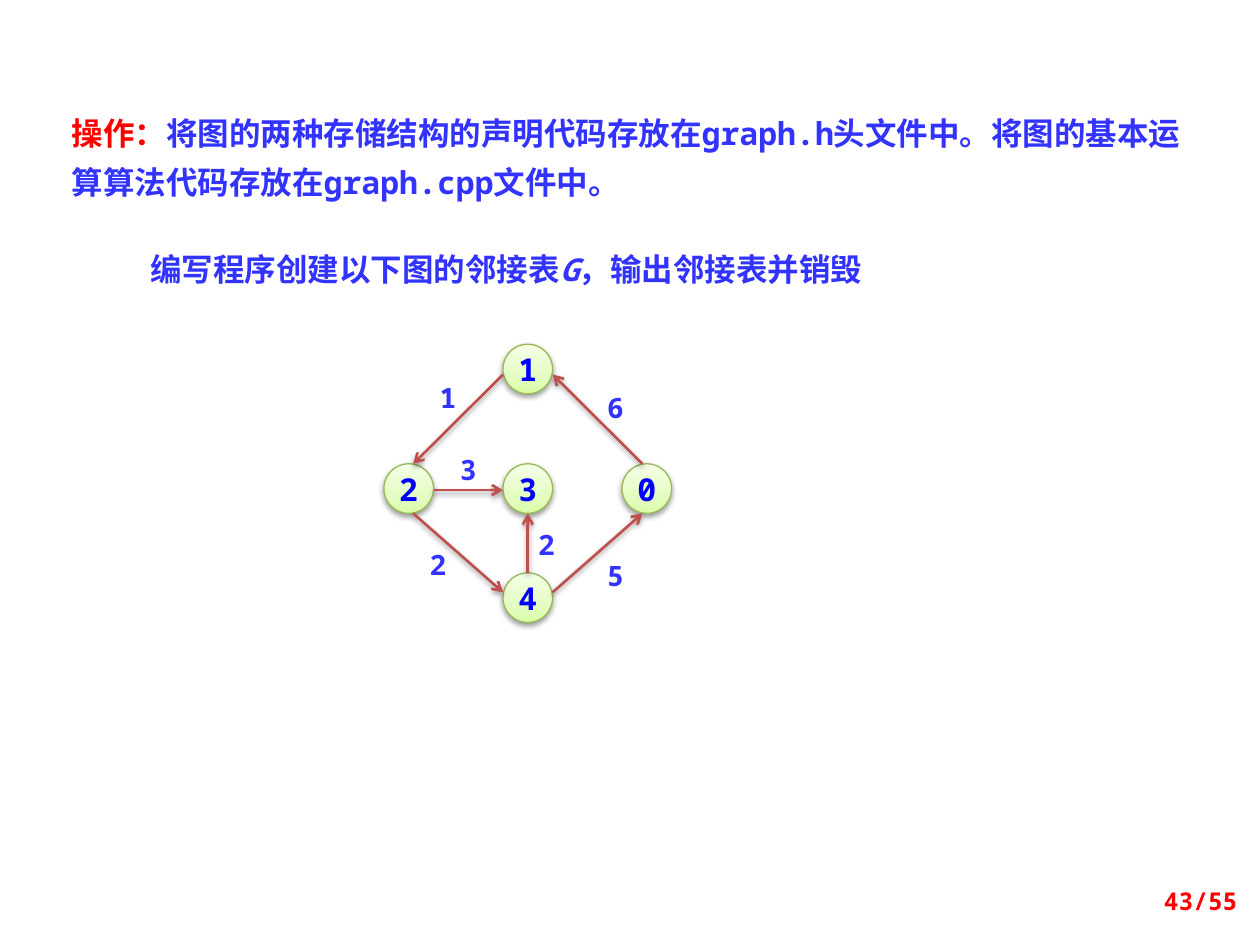
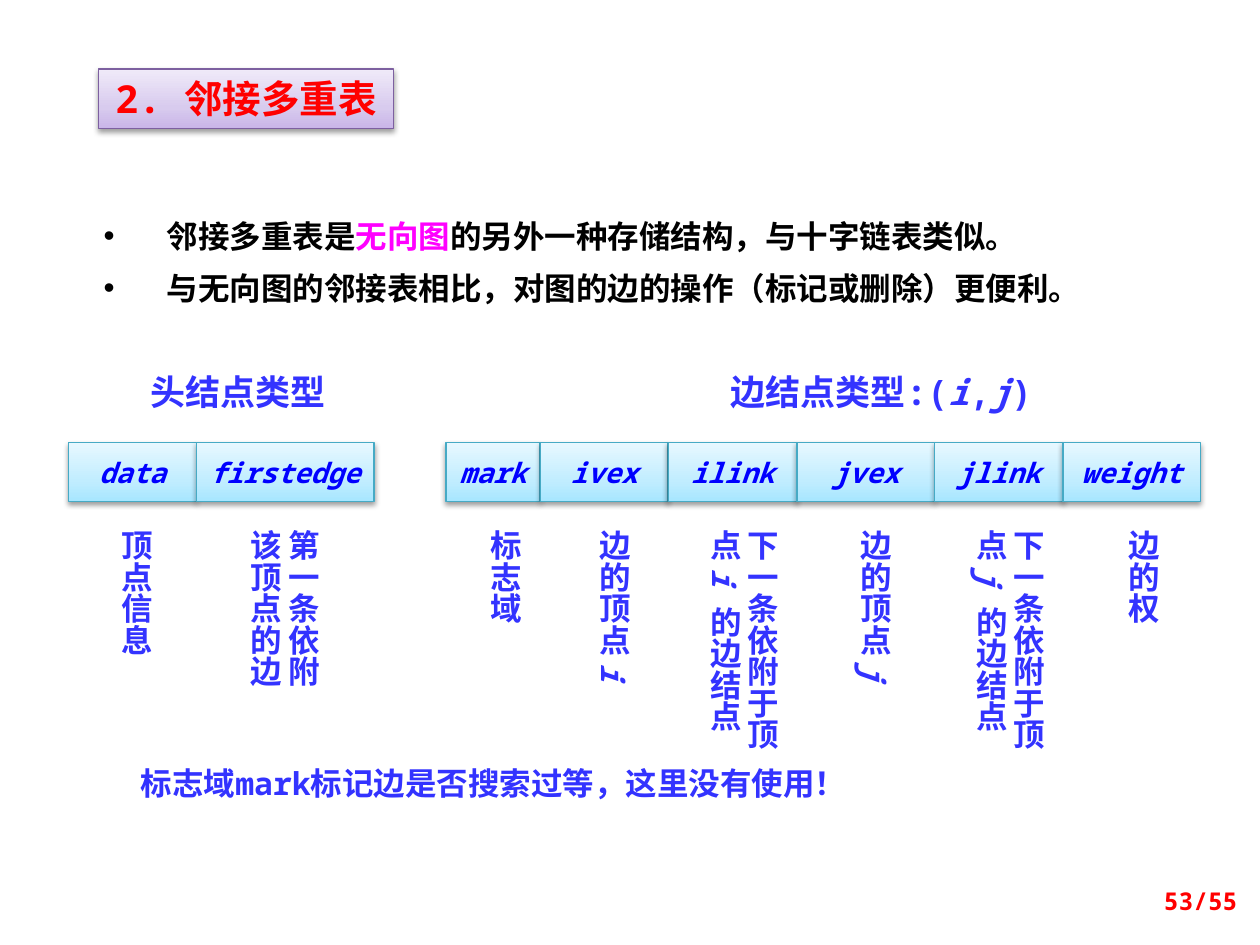
"""Build two slides on graph storage: an adjacency-list exercise and the adjacency multilist."""
from lxml import etree
from pptx import Presentation
from pptx import util as u
from pptx.dml.color import RGBColor
from pptx.enum import shapes, text
from pptx.oxml.ns import qn

COLOURS = {
    "body": "3333FF", "key": "FF0000", "field": "0000FF", "plain": "000000",
    "accent": "FF00FF", "paper": "FFFFFF", "arrow": "C0504D", "shadow": "000000",
    "vertex_line": "98B955", "title_line": "7D60A0", "field_line": "46AAC5",
}
GRADIENTS = {
    "vertex": ("DAFDA7", "E4FCC2", "F5FFE7"),
    "title": ("C9B5E8", "D8CBEE", "F0EAF9"),
    "field": ("A7E6FF", "C1EDFF", "E7F8FF"),
}
STOPS = (0, 35, 100)
MONO, HAN, SERIF = "Noto Sans Mono", "Noto Sans CJK SC", "Times New Roman"
LEFT, CENTER, RIGHT = text.PP_ALIGN.LEFT, text.PP_ALIGN.CENTER, text.PP_ALIGN.RIGHT
TOP, MIDDLE = text.MSO_ANCHOR.TOP, text.MSO_ANCHOR.MIDDLE
PAGES = 55

VERTEX_SIZE = 1.0
VERTICES = {"1": (10.64, 7.44), "3": (10.64, 9.85), "2": (8.24, 9.85),
            "0": (13.04, 9.85), "4": (10.64, 12.05)}
EDGES = [
    ("1", (-0.5, 0.11), "2", (0.09, -0.5), "1", (8.53, 7.54)),
    ("0", (-0.09, -0.5), "1", (0.5, 0.11), "6", (11.91, 7.75)),
    ("2", (0.5, 0.03), "3", (-0.5, 0.03), "3", (8.94, 8.99)),
    ("2", (0.09, 0.5), "4", (-0.5, -0.11), "2", (8.33, 10.92)),
    ("4", (0, -0.5), "3", (0, 0.5), "2", (10.52, 10.52)),
    ("4", (0.5, -0.11), "0", (-0.09, 0.5), "5", (11.91, 11.13)),
]

NARROW, WIDE = 1.27, 2.06
HEAD_FIELDS = [
    ("data", 2.58, [("顶点信息",)], 1.99, NARROW, 3.38),
    ("firstedge", 3.58, [("第一条依附该顶点的边",)], 4.56, WIDE, 3.76),
]


def neighbour_caption(vertex):
    """Return the runs that describe the next edge at a vertex."""
    return [("下一条依附于顶点 ",), (vertex + " ", "body", True), ("的边结点",)]


def endpoint_caption(vertex):
    """Return the runs that describe an end of the edge."""
    return [("边的顶点 ",), (vertex, "body", True)]


EDGE_FIELDS = [
    ("mark", 1.9, [("标志域",)], 9.42, NARROW, 3.38),
    ("ivex", 2.58, endpoint_caption("i"), 11.61, NARROW, 3.76),
    ("ilink", 2.6, neighbour_caption("i"), 13.82, WIDE, 4.95),
    ("jvex", 2.77, endpoint_caption("j"), 16.87, NARROW, 3.96),
    ("jlink", 2.59, neighbour_caption("j"), 19.18, WIDE, 4.95),
    ("weight", 2.77, [("边的权",)], 22.28, NARROW, 2.77),
]


def rgb(name):
    """Return a named colour."""
    return RGBColor.from_string(COLOURS[name])


def add_run(paragraph, size, words, colour="body", italic=False, font=MONO):
    """Add one bold run to a paragraph."""
    run = paragraph.add_run()
    run.text = words
    run.font.size, run.font.bold, run.font.italic = u.Pt(size), True, italic
    run.font.name = font
    run.font.color.rgb = rgb(colour)
    etree.SubElement(run.font._element, qn("a:ea"), typeface=HAN)


def write(frame, paragraphs, size, align=LEFT, anchor=TOP, wrap=True, spacing=None, bullet=False):
    """Fill a text frame with paragraphs of runs."""
    frame.word_wrap, frame.auto_size = wrap, text.MSO_AUTO_SIZE.NONE
    frame.vertical_anchor = anchor
    for index, runs in enumerate(paragraphs):
        paragraph = frame.add_paragraph() if index else frame.paragraphs[0]
        paragraph.alignment = align
        paragraph.space_before = u.Pt(0)
        if spacing:
            paragraph.line_spacing = u.Pt(spacing)
        if bullet:
            properties = paragraph._p.get_or_add_pPr()
            properties.set("marL", str(u.Cm(1.27)))
            properties.set("indent", str(u.Cm(-1.27)))
            etree.SubElement(properties, qn("a:buChar"), char="•")
        for run in runs:
            add_run(paragraph, size, *run)


def place(shape, left, top, width, height):
    """Move and size a shape in centimetres."""
    shape.left, shape.top, shape.width, shape.height = map(u.Cm, (left, top, width, height))


def add_shadow(shape):
    """Give a shape or connector a soft shadow below it."""
    effects = etree.SubElement(shape._element.spPr, qn("a:effectLst"))
    outer = etree.SubElement(effects, qn("a:outerShdw"), blurRad="40000", dist="20000",
                             dir="5400000", rotWithShape="0")
    colour = etree.SubElement(outer, qn("a:srgbClr"), val=COLOURS["shadow"])
    etree.SubElement(colour, qn("a:alpha"), val="38000")


def decorate(shape, style):
    """Apply the gradient, outline and shadow of a style."""
    shape.fill.gradient()
    shape.fill.gradient_angle = 90
    stops = shape._element.spPr.find(qn("a:gradFill")).find(qn("a:gsLst"))
    for stop in list(stops):
        stops.remove(stop)
    for position, colour in zip(STOPS, GRADIENTS[style]):
        stop = etree.SubElement(stops, qn("a:gs"), pos=str(position * 1000))
        etree.SubElement(stop, qn("a:srgbClr"), val=colour)
    shape.line.color.rgb = rgb(style + "_line")
    shape.line.width = u.Pt(0.75)
    add_shadow(shape)


def add_text(slide, box, runs, size, vertical=False, **layout):
    """Add a text box with one paragraph."""
    frame = slide.shapes.add_textbox(*map(u.Cm, box)).text_frame
    write(frame, [runs], size, **layout)
    if vertical:
        frame._txBody.bodyPr.set("vert", "eaVert")


def add_cell(slide, preset, style, box, label, size, italic=False):
    """Add a decorated shape with a centred label."""
    cell = slide.shapes.add_shape(preset, *map(u.Cm, box))
    decorate(cell, style)
    write(cell.text_frame, [[(label, "field", italic)]], size, CENTER, MIDDLE, wrap=False)


def add_vertex(slide, label, centre):
    """Add a round graph vertex."""
    left, top = (c - VERTEX_SIZE / 2 for c in centre)
    add_cell(slide, shapes.MSO_SHAPE.OVAL, "vertex", (left, top, VERTEX_SIZE, VERTEX_SIZE), label, 18)


def add_edge(slide, source, leave, target, arrive, weight, label_at):
    """Add a directed edge and its weight."""
    ends = [centre + shift for vertex, offset in ((source, leave), (target, arrive))
            for centre, shift in zip(VERTICES[vertex], offset)]
    edge = slide.shapes.add_connector(shapes.MSO_CONNECTOR.STRAIGHT, *map(u.Cm, ends))
    edge.line.color.rgb = rgb("arrow")
    edge.line.width = u.Pt(1.5)
    etree.SubElement(edge.get_or_add_ln(), qn("a:tailEnd"), type="arrow")
    add_shadow(edge)
    add_text(slide, (*label_at, 1.0, 0.94), [(weight,)], 16, align=CENTER)


def add_record(slide, left, fields):
    """Add a row of adjoining fields with vertical captions below."""
    for name, width, caption, caption_left, caption_width, caption_height in fields:
        add_cell(slide, shapes.MSO_SHAPE.RECTANGLE, "field", (left, 8.92, width, 1.19), name, 16, True)
        add_text(slide, (caption_left, 10.44, caption_width, caption_height), caption, 18, vertical=True)
        left += width


def add_page_number(slide, page):
    """Add the page count at the bottom right."""
    add_text(slide, (19.28, 17.65, 5.92, 1.02), [(f"{page}/{PAGES}", "key")], 14,
             align=RIGHT, anchor=MIDDLE)


def build_exercise(deck):
    """Build the slide with the directed graph exercise."""
    slide = deck.slides.add_slide(deck.slide_layouts[5])
    task = slide.shapes.title
    place(task, 1.19, 1.95, 23.01, 2.18)
    write(task.text_frame, [[
        ("操作：", "key"),
        ("将图的两种存储结构的声明代码存放在graph.h头文件中。将图的基本运算算法代码存放在graph.cpp文件中。",),
    ]], 18, spacing=28)
    add_text(slide, (2.78, 4.92, 15.09, 1.02), [
        ("编写程序创建以下图的", "body", False, SERIF), ("邻接表",),
        ("G", "body", True), ("，输出邻接表并销毁",),
    ], 18)
    for label, centre in VERTICES.items():
        add_vertex(slide, label, centre)
    for edge in EDGES:
        add_edge(slide, *edge)
    add_page_number(slide, 43)


def build_multilist(deck):
    """Build the slide with the node types of the adjacency multilist."""
    slide = deck.slides.add_slide(deck.slide_layouts[1])
    heading, points = slide.shapes.title, slide.placeholders[1]
    place(heading, 1.98, 1.39, 5.96, 1.2)
    decorate(heading, "title")
    heading.text_frame.margin_left = heading.text_frame.margin_right = u.Cm(0.1)
    write(heading.text_frame, [[("2. 邻接多重表", "key")]], 22, CENTER)

    place(points, 1.58, 3.77, 22.23, 2.74)
    points.fill.solid()
    points.fill.fore_color.rgb = rgb("paper")
    frame = points.text_frame
    frame.margin_left, frame.margin_right = u.Cm(0.51), u.Cm(0.25)
    frame.margin_top = frame.margin_bottom = u.Cm(0.3)
    write(frame, [
        [("邻接多重表是", "plain"), ("无向图", "accent"),
         ("的另外一种存储结构，与十字链表类似。", "plain")],
        [("与无向图的邻接表相比，对图的边的操作（标记或删除）更便利。", "plain")],
    ], 18, spacing=30, bullet=True)

    add_text(slide, (2.78, 7.34, 4.95, 1.12), [("头结点类型", "body", False, HAN)], 20)
    add_text(slide, (14.48, 7.34, 7.75, 1.12), [
        ("边结点类型:(",), ("i", "body", True), (",",), ("j", "body", True), (")",),
    ], 20)
    add_record(slide, 1.38, HEAD_FIELDS)
    add_record(slide, 8.99, EDGE_FIELDS)
    add_text(slide, (2.59, 15.28, 16.28, 1.02),
             [("标志域mark标记边是否搜索过等，这里没有使用！",)], 18)
    add_page_number(slide, 53)


def main():
    """Build and save the deck."""
    deck = Presentation()
    deck.slide_width, deck.slide_height = u.Cm(25.4), u.Cm(19.05)
    build_exercise(deck)
    build_multilist(deck)
    deck.save("out.pptx")


if __name__ == "__main__":
    main()
